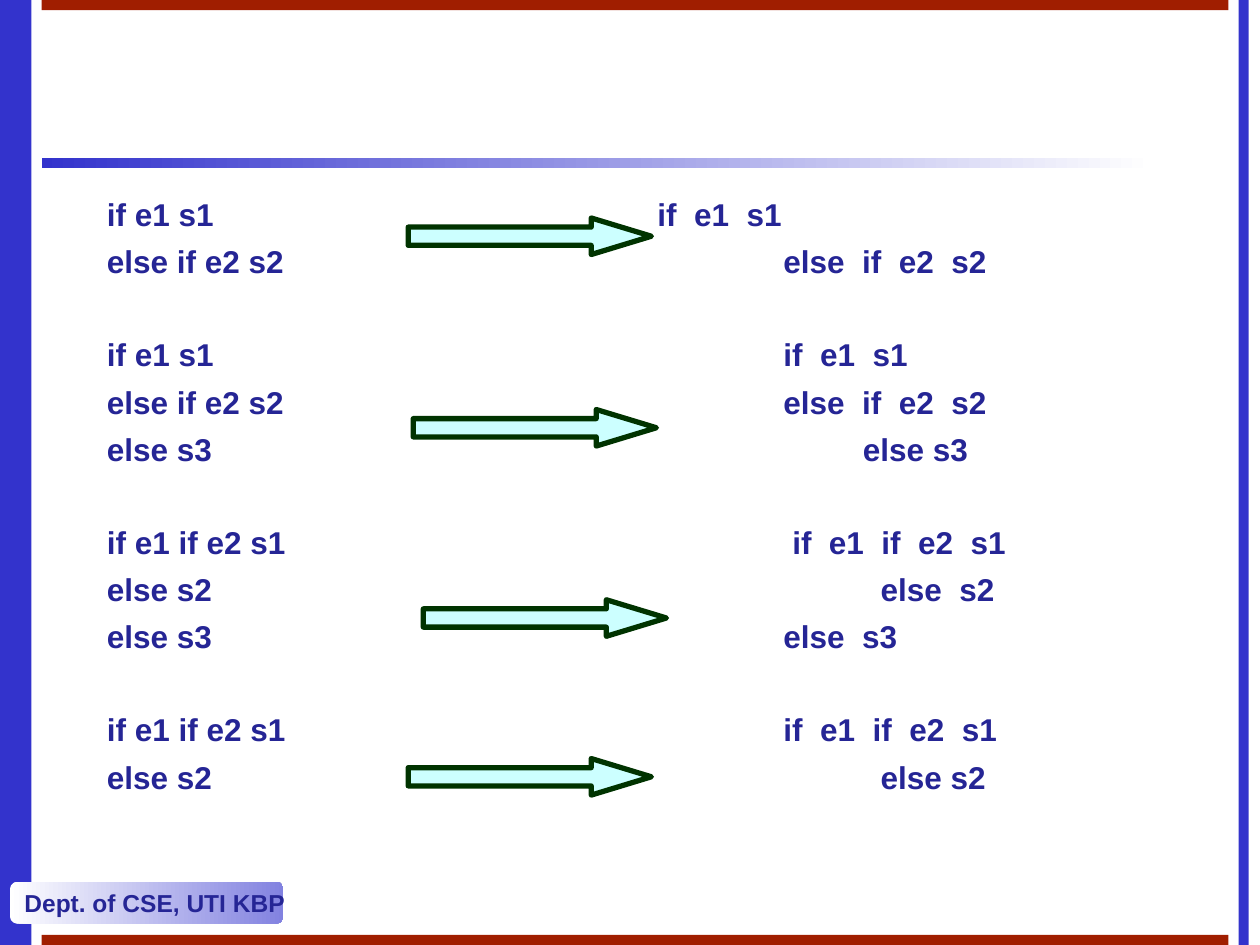
from dataclasses import dataclass

from lxml import etree
from pptx import Presentation
from pptx.dml.color import RGBColor
from pptx.enum.shapes import MSO_SHAPE
from pptx.enum.text import MSO_ANCHOR, PP_ALIGN
from pptx.oxml.ns import qn
from pptx.util import Inches, Pt

RECT = MSO_SHAPE.RECTANGLE
ROUNDED = MSO_SHAPE.ROUNDED_RECTANGLE
ARROW = MSO_SHAPE.RIGHT_ARROW
MIDDLE = MSO_ANCHOR.MIDDLE
LEFT = PP_ALIGN.LEFT

COLORS = {
    "blue": "3333CC",
    "light_blue": "8282E0",
    "white": "FFFFFF",
    "red": "A01E00",
    "text": "252595",
    "arrow": "CCFFFF",
    "arrow_line": "003300",
}
FONT = {"name": "Arial", "bold": True}
LINE_GAP, GROUP_GAP = 5.4, 31.5


@dataclass
class Block:
    x: float
    y: float
    w: float
    h: float
    fills: tuple[str, ...]
    kind: int = RECT


@dataclass
class CodeLine:
    left: str
    right: str
    tab: float = 5.37
    starts_group: bool = False


BARS = [
    Block(0, 0, 0.25, 7.5, ("blue",)),
    Block(0.33, 1.25, 8.83, 0.08, ("blue", "white")),
    Block(9.83, 0, 0.08, 7.5, ("blue",)),
    Block(0.33, 0, 9.42, 0.08, ("red",)),
    Block(0.33, 7.42, 9.42, 0.08, ("red",)),
]
FOOTER = Block(0.08, 7, 2.17, 0.33, ("white", "light_blue"), ROUNDED)
ARROWS = [
    Block(x, y, 1.93, 0.29, ("arrow",), ARROW)
    for x, y in [(3.24, 1.73), (3.28, 3.25), (3.36, 4.76), (3.24, 6.02)]
]
CODE = [
    CodeLine("if e1 s1", "if  e1  s1", tab=4.37),
    CodeLine("else if e2 s2", "else  if  e2  s2"),
    CodeLine("if e1 s1", "if  e1  s1", starts_group=True),
    CodeLine("else if e2 s2", "else  if  e2  s2"),
    CodeLine("else s3", "else s3", tab=6),
    CodeLine("if e1 if e2 s1", "if  e1  if  e2  s1", tab=5.44, starts_group=True),
    CodeLine("else s2", "else  s2", tab=6.14),
    CodeLine("else s3", "else  s3"),
    CodeLine("if e1 if e2 s1", "if  e1  if  e2  s1", starts_group=True),
    CodeLine("else s2", "else s2", tab=6.14),
]


def rgb(name: str) -> RGBColor:
    return RGBColor.from_string(COLORS[name])


def add_block(slide, block: Block):
    sp = slide.shapes.add_shape(
        block.kind, *(Inches(v) for v in (block.x, block.y, block.w, block.h))
    )
    sp.shadow.inherit = False
    sp.line.fill.background()
    if len(block.fills) == 1:
        sp.fill.solid()
        sp.fill.fore_color.rgb = rgb(block.fills[0])
    else:
        sp.fill.gradient()
        sp.fill.gradient_angle = 0
        for i, (stop, name) in enumerate(zip(sp.fill.gradient_stops, block.fills)):
            stop.position = i
            stop.color.rgb = rgb(name)
    return sp


def add_run(p, text: str, size: int) -> None:
    r = p.add_run()
    r.text = text
    for key, value in {**FONT, "size": Pt(size)}.items():
        setattr(r.font, key, value)
    r.font.color.rgb = rgb("text")


def add_tab_stop(p, position: float) -> None:
    tabs = etree.SubElement(p._p.get_or_add_pPr(), qn("a:tabLst"))
    etree.SubElement(tabs, qn("a:tab"), pos=str(Inches(position)), algn="l")


def add_code(slide, lines: list[CodeLine]) -> None:
    box = slide.shapes.add_textbox(Inches(0.75), Inches(1.5), Inches(8.5), Inches(5.36))
    tf = box.text_frame
    tf.word_wrap = True
    for i, line in enumerate(lines):
        p = tf.add_paragraph() if i else tf.paragraphs[0]
        if i:
            p.space_before = Pt(GROUP_GAP if line.starts_group else LINE_GAP)
        add_tab_stop(p, line.tab)
        add_run(p, f"{line.left}\t{line.right}", 18)


prs = Presentation()
prs.slide_width, prs.slide_height = Inches(10), Inches(7.5)
slide = prs.slides.add_slide(prs.slide_layouts[6])

# Frame
for bar in BARS:
    add_block(slide, bar)

# Department label
label = add_block(slide, FOOTER)
label.adjustments[0] = 0.167
tf = label.text_frame
tf.word_wrap = False
tf.vertical_anchor = MIDDLE
tf.paragraphs[0].alignment = LEFT
add_run(tf.paragraphs[0], "Dept. of CSE, UTI KBP", 14)

# Code pairs
add_code(slide, CODE)

# Arrows
for arrow in ARROWS:
    sp = add_block(slide, arrow)
    sp.adjustments[1] = 1.645
    sp.line.color.rgb = rgb("arrow_line")
    sp.line.width = Pt(3)

prs.save("out.pptx")
